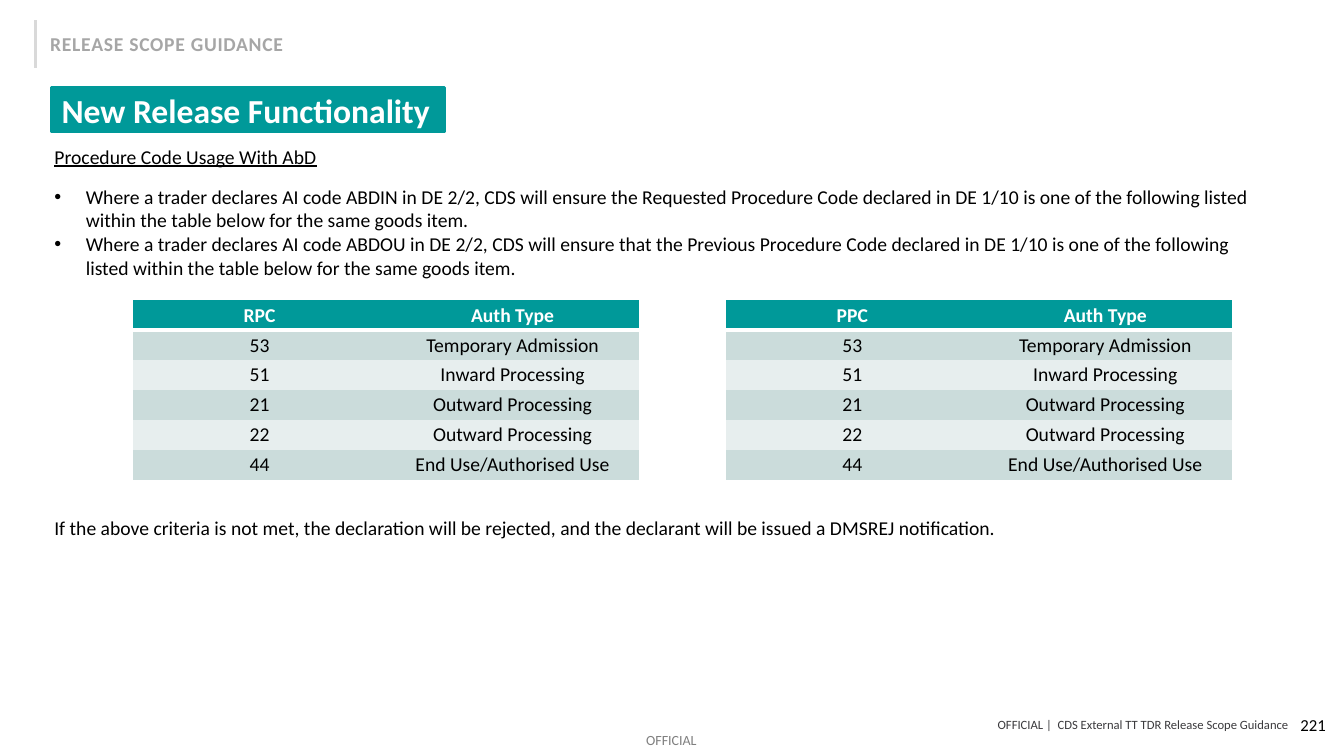
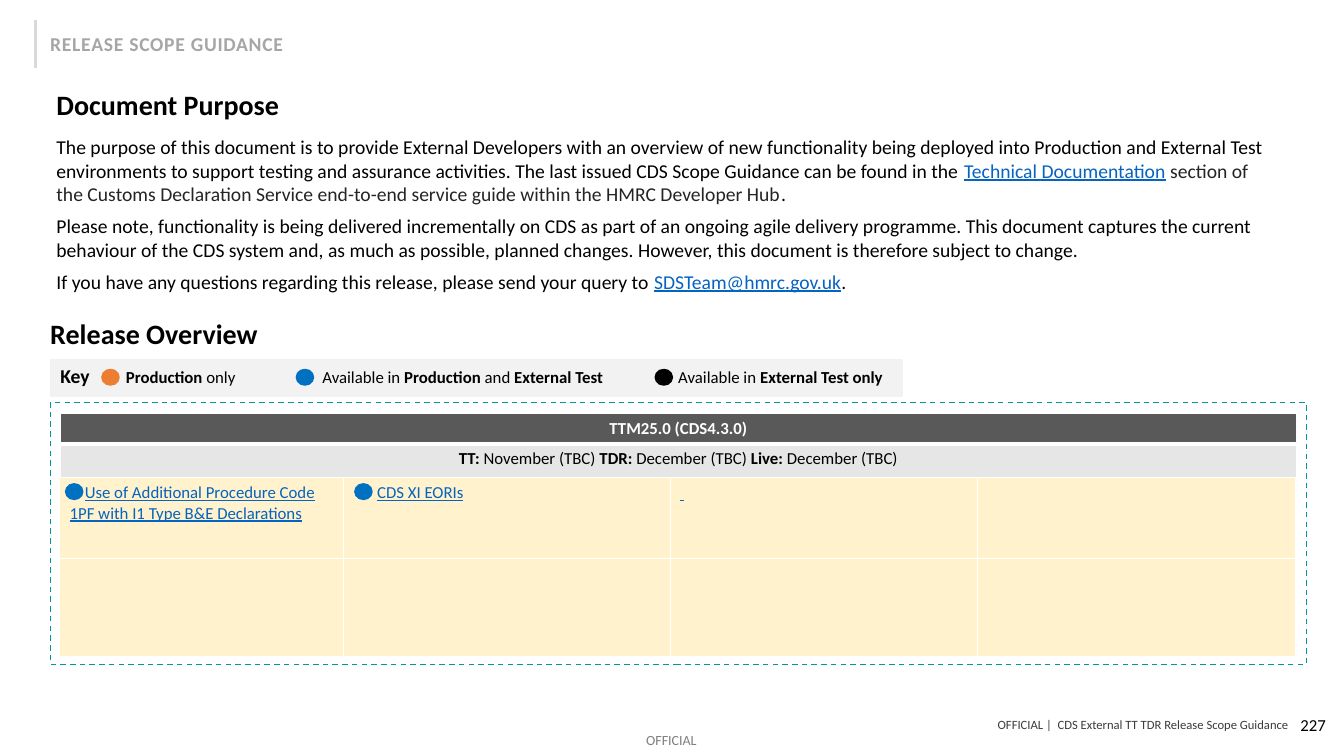
from dataclasses import dataclass

import pptx
import pptx.dml.color
import pptx.enum.dml
import pptx.enum.shapes
import pptx.enum.text
import pptx.oxml
import pptx.oxml.ns
import pptx.presentation
import pptx.shapes.autoshape
import pptx.slide
import pptx.table
import pptx.text.text
import pptx.util

ALIGN = pptx.enum.text.PP_ALIGN
ANCHOR = pptx.enum.text.MSO_ANCHOR
SHAPE = pptx.enum.shapes.MSO_SHAPE
NO_GRID_STYLE = "{2D5ABB26-0587-4C30-8999-92F81FD0307C}"
SLIDE_WIDTH = pptx.util.Inches(13.333)
SLIDE_HEIGHT = pptx.util.Inches(7.5)


@dataclass(frozen=True)
class Theme:
    font: str = "Calibri"
    teal: str = "009999"
    white: str = "FFFFFF"
    black: str = "000000"
    bar: str = "D9D9D9"
    heading_grey: str = "A6A6A6"
    footer_grey: str = "3B3A3D"
    marking_grey: str = "7F7F7F"
    dark_row: str = "CBDCDB"
    light_row: str = "E7EEEE"
    band: str = "F2F2F2"
    release_head: str = "595959"
    release_dates: str = "E7E6E6"
    cream: str = "FFF2CC"
    link: str = "0563C1"
    soft_black: str = "252423"
    orange: str = "ED7D31"
    blue: str = "0070C0"
    title: int = 24
    heading: int = 20
    body: int = 14
    small: int = 12
    marking: int = 10
    footer: int = 9


THEME = Theme()


@dataclass(frozen=True)
class Box:
    """Place and size as percentages of the slide."""
    left: float
    top: float
    width: float
    height: float

    def emu(self) -> tuple[int, int, int, int]:
        return across(self.left), down(self.top), across(self.width), down(self.height)


@dataclass(frozen=True)
class Span:
    text: str
    bold: bool | None = None
    color: str | None = None
    underline: bool = False


@dataclass(frozen=True)
class Cell:
    spans: tuple[Span, ...]
    fill: str
    bold: bool = False
    color: str = THEME.black
    align: ALIGN = ALIGN.CENTER
    first_indent: float = 0
    bottom_line: float = 1


@dataclass(frozen=True)
class KeyItem:
    dot_left: float
    label_left: float
    color: str
    spans: tuple[Span, ...]


def across(share: float) -> int:
    return round(SLIDE_WIDTH * share / 100)


def down(share: float) -> int:
    return round(SLIDE_HEIGHT * share / 100)


def rgb(color: str) -> pptx.dml.color.RGBColor:
    return pptx.dml.color.RGBColor.from_string(color)


def linked(text: str) -> Span:
    return Span(text, color=THEME.link, underline=True)


def write(frame: pptx.text.text.TextFrame, *spans: Span | str, size: float = THEME.body,
          color: str = THEME.black, bold: bool = False, align: ALIGN = ALIGN.LEFT,
          after: float = 0, left: float = 0, first: float = 0, bullet: bool = False,
          spacing: int = 0) -> None:
    """Add one paragraph, using the frame's first paragraph while it is empty."""
    para = frame.paragraphs[0] if not frame.text else frame.add_paragraph()
    properties = para._p.get_or_add_pPr()
    properties.set("marL", str(across(left)))
    properties.set("indent", str(across(first)))
    mark = pptx.oxml.ns.qn("a:buChar" if bullet else "a:buNone")
    mark_element = properties.makeelement(mark, {"char": "•"} if bullet else {})
    properties.append(mark_element)
    para.alignment = align
    para.space_before = pptx.util.Pt(0)
    para.space_after = pptx.util.Pt(after)
    para.font.size = pptx.util.Pt(size)
    for item in spans:
        span = item if isinstance(item, Span) else Span(item)
        run = para.add_run()
        run.text = span.text
        run.font.name = THEME.font
        run.font.size = pptx.util.Pt(size)
        run.font.bold = bold if span.bold is None else span.bold
        run.font.color.rgb = rgb(span.color or color)
        if span.underline:
            run.font.underline = True
        if spacing:
            run._r.get_or_add_rPr().set("spc", str(spacing))


def set_frame(frame: pptx.text.text.TextFrame, anchor: ANCHOR, inset: bool = True) -> None:
    frame.word_wrap = True
    frame.auto_size = pptx.enum.text.MSO_AUTO_SIZE.NONE
    frame.vertical_anchor = anchor
    if not inset:
        frame.margin_left = frame.margin_right = frame.margin_top = frame.margin_bottom = 0


def add_text(page: pptx.slide.Slide, box: Box, *spans: Span | str,
             anchor: ANCHOR = ANCHOR.TOP, inset: bool = True, **style) -> None:
    frame = page.shapes.add_textbox(*box.emu()).text_frame
    set_frame(frame, anchor, inset)
    write(frame, *spans, **style)


def place(holder, box: Box, anchor: ANCHOR) -> pptx.text.text.TextFrame:
    """Move a placeholder and return its prepared text frame."""
    holder.left, holder.top, holder.width, holder.height = box.emu()
    set_frame(holder.text_frame, anchor)
    return holder.text_frame


def add_shape(page: pptx.slide.Slide, kind: SHAPE, box: Box, fill: str | None,
              line: str) -> pptx.shapes.autoshape.Shape:
    shape = page.shapes.add_shape(kind, *box.emu())
    shape.shadow.inherit = False
    if fill:
        shape.fill.solid()
        shape.fill.fore_color.rgb = rgb(fill)
    else:
        shape.fill.background()
    shape.line.color.rgb = rgb(line)
    shape.line.width = pptx.util.Pt(1)
    return shape


def add_dot(page: pptx.slide.Slide, left: float, top: float, color: str) -> None:
    add_shape(page, SHAPE.OVAL, Box(left, top, 1.28, 2.07), color, color)


def add_border(cell: pptx.table._Cell, edge: str, points: float) -> None:
    line = pptx.oxml.parse_xml(
        f'<a:ln{edge} {pptx.oxml.ns.nsdecls("a")} w="{pptx.util.Pt(points)}"><a:solidFill>'
        f'<a:srgbClr val="{THEME.white}"/></a:solidFill></a:ln{edge}>')
    cell._tc.get_or_add_tcPr().append(line)


def add_table(page: pptx.slide.Slide, left: float, top: float, columns: list[float],
              rows: list[float], cells: list[list[Cell]], size: int,
              anchor: ANCHOR = ANCHOR.TOP, insets: tuple[float, float] = (0.1, 0.05),
              edges: str = "LRTB") -> None:
    """Draw a table; edges names the cell sides that get a white line."""
    box = Box(left, top, sum(columns), sum(rows))
    table = page.shapes.add_table(len(rows), len(columns), *box.emu()).table
    table.first_row = table.horz_banding = False
    table._tbl.tblPr.find(pptx.oxml.ns.qn("a:tableStyleId")).text = NO_GRID_STYLE
    for column, share in zip(table.columns, columns):
        column.width = across(share)
    for row, share, contents in zip(table.rows, rows, cells):
        row.height = down(share)
        for cell, content in zip(row.cells, contents):
            for edge in edges:
                add_border(cell, edge, content.bottom_line if edge == "B" else 1)
            if not edges and content.bottom_line > 1:
                add_border(cell, "B", content.bottom_line)
            cell.fill.solid()
            cell.fill.fore_color.rgb = rgb(content.fill)
            cell.vertical_anchor = anchor
            cell.margin_left = cell.margin_right = pptx.util.Inches(insets[0])
            cell.margin_top = cell.margin_bottom = pptx.util.Inches(insets[1])
            write(cell.text_frame, *content.spans, size=size, color=content.color,
                  bold=content.bold, align=content.align, first=content.first_indent)


def add_page(deck: pptx.presentation.Presentation, number: str) -> pptx.slide.Slide:
    """Add a slide with the running header, footer, marking and page number."""
    page = deck.slides.add_slide(deck.slide_layouts[1])
    bar = page.shapes.add_connector(pptx.enum.shapes.MSO_CONNECTOR.STRAIGHT,
                                    across(2.63), down(2.67), across(2.63), down(8.93))
    bar.line.color.rgb = rgb(THEME.bar)
    bar.line.width = pptx.util.Pt(2.25)
    properties = bar._element.spPr
    properties.append(properties.makeelement(pptx.oxml.ns.qn("a:effectLst"), {}))
    add_text(page, Box(3, 3.6, 22.5, 4.53), "RELEASE SCOPE GUIDANCE",
             color=THEME.heading_grey, bold=True, spacing=50)
    add_text(page, Box(24.15, 94.8, 71.7, 2.13),
             "OFFICIAL |  CDS External TT TDR Release Scope Guidance", anchor=ANCHOR.MIDDLE,
             inset=False, size=THEME.footer, color=THEME.footer_grey, align=ALIGN.RIGHT)
    add_text(page, Box(48.08, 96.8, 4.2, 2.27), "OFFICIAL", inset=False,
             size=THEME.marking, color=THEME.marking_grey)
    add_text(page, Box(76.9, 93.2, 22.5, 5.33), number, anchor=ANCHOR.MIDDLE,
             size=THEME.small, align=ALIGN.RIGHT)
    return page


def add_code_table(page: pptx.slide.Slide, left: float, code: str) -> None:
    entries = [("53", "Temporary Admission"), ("51", "Inward Processing"),
               ("21", "Outward Processing"), ("22", "Outward Processing"),
               ("44", "End Use/Authorised Use")]
    cells = [[Cell((Span(text),), THEME.teal, bold=True, color=THEME.white, bottom_line=3)
              for text in (code, "Auth Type")]]
    for index, entry in enumerate(entries):
        fill = THEME.light_row if index % 2 else THEME.dark_row
        cells.append([Cell((Span(text),), fill) for text in entry])
    add_table(page, left, 39.73, [18.83] * 2, [23.6 / len(cells)] * len(cells), cells,
              THEME.body, ANCHOR.MIDDLE, (0.04, 0.03), edges="")


def build_functionality(deck: pptx.presentation.Presentation) -> None:
    page = add_page(deck, "221")
    title = page.shapes.title
    write(place(title, Box(3.83, 11.6, 29.25, 5.87), ANCHOR.MIDDLE),
          "New Release Functionality", size=THEME.title, color=THEME.white, bold=True)
    title.fill.solid()
    title.fill.fore_color.rgb = title.line.color.rgb = rgb(THEME.teal)
    title.line.width = pptx.util.Pt(2)
    body = place(page.placeholders[1], Box(3.3, 18.45, 92.55, 20), ANCHOR.TOP)
    write(body, Span("Procedure Code Usage With AbD", underline=True), after=12)
    for rule in (
            "Where a trader declares AI code ABDIN in DE 2/2, CDS will ensure the Requested Procedure Code declared in DE 1/10 is one of the following listed within the table below for the same goods item.",
            "Where a trader declares AI code ABDOU in DE 2/2, CDS will ensure that the Previous Procedure Code declared in DE 1/10 is one of the following listed within the table below for the same goods item."):
        write(body, rule, left=2.33, first=-2.33, bullet=True)
    for left, code in ((9.9, "RPC"), (54, "PPC")):
        add_code_table(page, left, code)
    add_text(page, Box(3.3, 67.6, 92.55, 4.5),
             "If the above criteria is not met, the declaration will be rejected, and the declarant will be issued a DMSREJ notification.")


def add_key(page: pptx.slide.Slide) -> None:
    add_shape(page, SHAPE.RECTANGLE, Box(3.75, 47.6, 63.38, 4.8), THEME.band, THEME.band)
    add_text(page, Box(3.75, 47.47, 4.5, 4.53), "Key", bold=True)
    production = Span("Production", bold=True)
    items = [
        KeyItem(7.58, 8.63, THEME.orange, (production, Span(" only"))),
        KeyItem(22.05, 23.25, THEME.blue, (Span("Available in "), production, Span(" and "),
                                           Span("External Test", bold=True))),
        KeyItem(48.75, 49.73, THEME.black, (Span("Available in "),
                                            Span("External Test only", bold=True))),
    ]
    for item in items:
        add_dot(page, item.dot_left, 48.87, item.color)
        add_text(page, Box(item.label_left, 47.87, 24, 4), *item.spans, size=THEME.small)


def add_release(page: pptx.slide.Slide) -> None:
    frame = add_shape(page, SHAPE.RECTANGLE, Box(3.75, 53.2, 93.45, 34.67), None, THEME.teal)
    frame.line.dash_style = pptx.enum.dml.MSO_LINE.DASH
    dates = [("TT: ", "November (TBC) "), ("TDR: ", "December (TBC) "),
             ("Live: ", "December (TBC)")]
    date_spans = tuple(Span(text, bold=index == 0)
                       for pair in dates for index, text in enumerate(pair))
    add_table(page, 4.5, 54.67, [91.95], [4, 4.53], [
        [Cell((Span("TTM25.0 (CDS4.3.0)"),), THEME.release_head, bold=True,
              color=THEME.white, bottom_line=3)],
        [Cell(date_spans, THEME.release_dates)]], THEME.small)
    features = [("Use of Additional Procedure Code 1PF with I1 Type B&E Declarations", 1.13),
                ("CDS XI EORIs", 1.73), (" ", 0)]
    empty = Cell((), THEME.cream)
    linked_cells = [Cell((linked(text),), THEME.cream, align=ALIGN.LEFT, first_indent=indent)
                    for text, indent in features]
    add_table(page, 4.43, 63.2, [21.15, 24.3, 22.88, 23.63], [10.67, 12.93],
              [[*linked_cells, empty], [empty] * 4], THEME.small)
    for left in (4.88, 26.4):
        add_dot(page, left, 64, THEME.blue)


def build_purpose(deck: pptx.presentation.Presentation) -> None:
    page = add_page(deck, "227")
    write(place(page.shapes.title, Box(3.45, 10.93, 61.13, 5.87), ANCHOR.MIDDLE),
          "Document Purpose", size=THEME.heading, bold=True)
    body = place(page.placeholders[1], Box(3.45, 17.2, 91.88, 22.4), ANCHOR.TOP)
    for spans in (
            ("The purpose of this document is to provide External Developers with an overview of new functionality being deployed into Production and External Test environments to support testing and assurance activities. The last issued CDS Scope Guidance can be found in the ",
             linked("Technical Documentation"),
             Span(" section of the Customs Declaration Service end-to-end service guide within the HMRC Developer Hub", color=THEME.soft_black), "."),
            ("Please note, functionality is being delivered incrementally on CDS as part of an ongoing agile delivery programme. This document captures the current behaviour of the CDS system and, as much as possible, planned changes. However, this document is therefore subject to change.",),
            ("If you have any questions regarding this release, please send your query to ",
             linked("SDSTeam@hmrc.gov.uk"), ".")):
        write(body, *spans, after=6)
    add_text(page, Box(3, 41.2, 68.85, 5.87), "Release Overview", size=THEME.heading, bold=True)
    add_key(page)
    add_release(page)


def main() -> None:
    deck = pptx.Presentation()
    deck.slide_width, deck.slide_height = SLIDE_WIDTH, SLIDE_HEIGHT
    build_functionality(deck)
    build_purpose(deck)
    deck.save("out.pptx")


if __name__ == "__main__":
    main()
